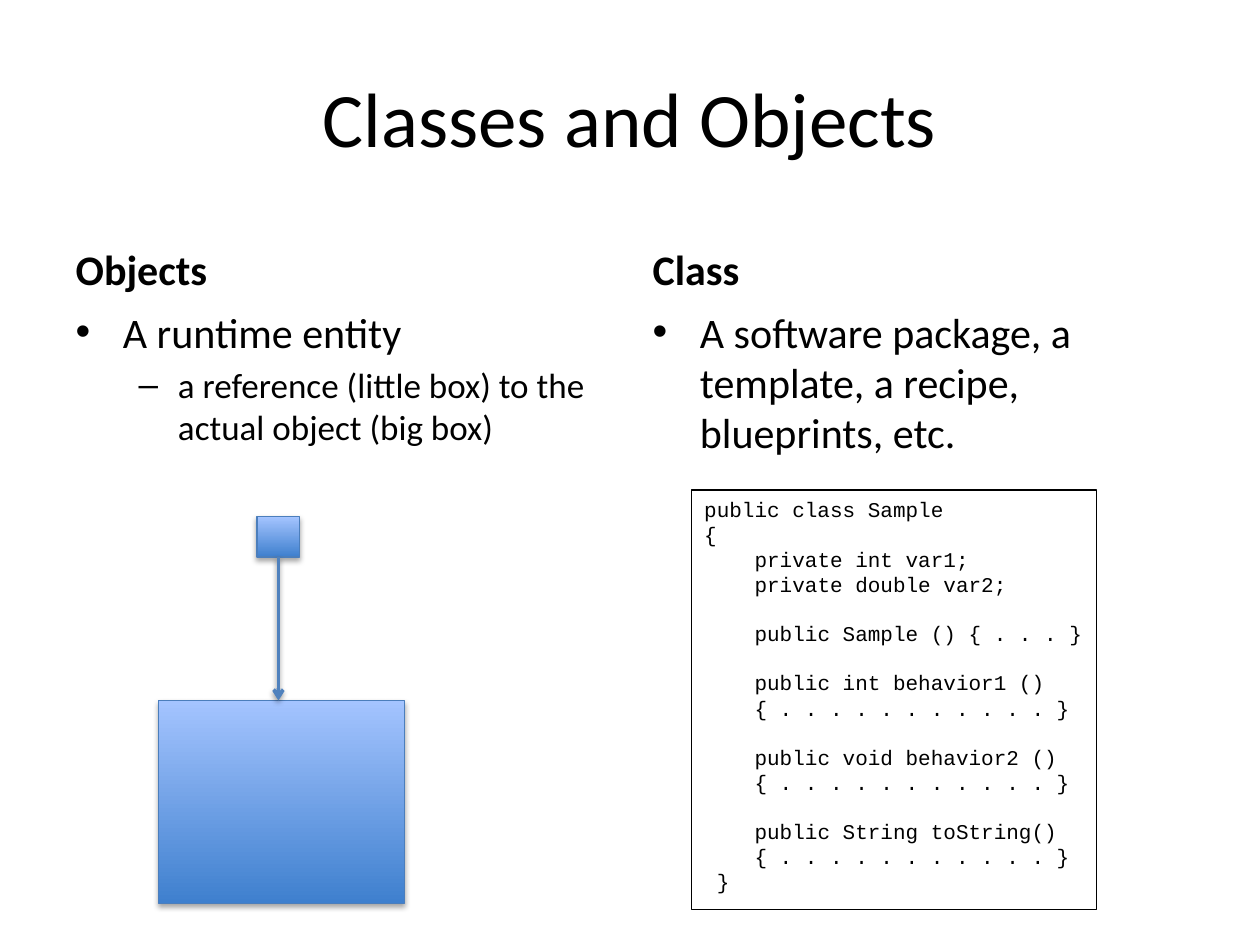
from dataclasses import dataclass
from typing import Any

from lxml.etree import SubElement
from pptx import Presentation
from pptx.dml.color import RGBColor
from pptx.enum.shapes import MSO_CONNECTOR, MSO_SHAPE
from pptx.enum.text import MSO_ANCHOR, PP_ALIGN
from pptx.oxml.ns import qn
from pptx.util import Inches, Pt

WIDE, HIGH = 10, 7.5
LEFT, COL, STEP = 0.5, 4.42, 4.58
AXIS = 2.21
CHAR, LINE = 0.1, 13.6


@dataclass
class Part:
    slot: int
    col: int
    top: float
    wide: float
    high: float
    rows: list[tuple[str, int, int]]
    bold: bool = False
    anchor: Any = MSO_ANCHOR.TOP
    align: Any = None


@dataclass
class Box:
    wide: float
    high: float
    top: float


@dataclass
class Code:
    text: str
    tab: int = 0
    gap: int = 0


PARTS = [
    Part(0, 0, 0.3, 9, 1.25, [("Classes and Objects", 0, 44)],
         anchor=MSO_ANCHOR.MIDDLE, align=PP_ALIGN.CENTER),
    Part(1, 0, 1.68, COL, 0.7, [("Objects", 0, 24)], True, MSO_ANCHOR.BOTTOM),
    Part(2, 0, 2.38, COL, 1.41, [
        ("A runtime entity", 0, 24),
        ("a reference (little box) to the actual object (big box)", 1, 20)]),
    Part(3, 1, 1.68, COL, 0.7, [("Class", 0, 24)], True, MSO_ANCHOR.BOTTOM),
    Part(4, 1, 2.38, COL, 4.32, [
        ("A software package, a template, a recipe, blueprints, etc.", 0, 24)]),
]
SMALL, BIG = Box(0.34, 0.32, 4.1), Box(1.95, 1.61, 5.56)
DOTS = "{ . . . . . . . . . . . }"
CODE = [
    Code("public class Sample"),
    Code("{"),
    Code("private int var1;", 4),
    Code("private double var2;", 4),
    Code("public Sample () { . . . }", 4, 1),
    Code("public int behavior1 ()", 4, 1),
    Code(DOTS, 4),
    Code("public void behavior2 ()", 4, 1),
    Code(DOTS, 4),
    Code("public String toString()", 4, 1),
    Code(DOTS, 4),
    Code("}", 1),
]


def tint(color: Any, code: str) -> None:
    color.rgb = RGBColor.from_string(code)


def apply(item: Any, form: dict[str, Any]) -> None:
    for name, value in form.items():
        setattr(item, name, value)


def style(para: Any, text: str, face: str, size: int, bold: bool = False) -> None:
    run = para.add_run()
    run.text = text
    apply(run.font, {"name": face, "size": Pt(size), "bold": bold})
    tint(run.font.color, "000000")


def edge(shape: Any, code: str, width: float) -> None:
    tint(shape.line.color, code)
    shape.line.width = Pt(width)


def shade(shape: Any, drop: float, alpha: int) -> None:
    props = shape._element.spPr
    for old in props.findall(qn("a:effectLst")):
        props.remove(old)
    cast = SubElement(SubElement(props, qn("a:effectLst")), qn("a:outerShdw"), {
        "blurRad": str(Pt(3.1)), "dist": str(Pt(drop)),
        "dir": "5400000", "rotWithShape": "0"})
    color = SubElement(cast, qn("a:srgbClr"), val="000000")
    SubElement(color, qn("a:alpha"), val=str(alpha * 1000))


def fill(slide: Any, part: Part) -> None:
    hold = slide.placeholders[part.slot]
    apply(hold, {"left": Inches(LEFT + part.col * STEP), "top": Inches(part.top),
                 "width": Inches(part.wide), "height": Inches(part.high)})
    frame = hold.text_frame
    frame.vertical_anchor = part.anchor
    for i, (text, level, size) in enumerate(part.rows):
        para = frame.add_paragraph() if i else frame.paragraphs[0]
        apply(para, {"level": level, "alignment": part.align})
        style(para, text, "Calibri", size, part.bold)


def block(slide: Any, box: Box, mid: float) -> None:
    shape = slide.shapes.add_shape(
        MSO_SHAPE.RECTANGLE, Inches(mid - box.wide / 2), Inches(box.top),
        Inches(box.wide), Inches(box.high))
    shape.fill.gradient()
    shape.fill.gradient_angle = 90
    for stop, code in zip(shape.fill.gradient_stops, ("3F80CE", "A4C4FF")):
        tint(stop.color, code)
    edge(shape, "4B7EBC", 0.75)
    shade(shape, 1.8, 35)


def arrow(slide: Any, top: float, end: float) -> None:
    link = slide.shapes.add_connector(
        MSO_CONNECTOR.STRAIGHT, Inches(AXIS), Inches(top), Inches(AXIS), Inches(end))
    edge(link, "4F81BD", 2)
    SubElement(link._element.spPr.find(qn("a:ln")), qn("a:tailEnd"), type="arrow")
    shade(link, 1.6, 38)


def listing(slide: Any) -> None:
    shape = slide.shapes.add_textbox(
        Inches(5.49), Inches(3.89), Inches(3.21), Inches(3.33))
    edge(shape, "000000", 0.75)
    frame = shape.text_frame
    frame.word_wrap = True
    for i, code in enumerate(CODE):
        para = frame.add_paragraph() if i else frame.paragraphs[0]
        para.space_before = Pt(code.gap * LINE)
        props = para._p.get_or_add_pPr()
        props.set("marL", str(Inches(code.tab * CHAR)))
        style(para, code.text, "Courier New", 12)


deck = Presentation()
apply(deck, {"slide_width": Inches(WIDE), "slide_height": Inches(HIGH)})
page = deck.slides.add_slide(deck.slide_layouts[4])
for part in PARTS:
    fill(page, part)
block(page, SMALL, AXIS)
block(page, BIG, 2.235)
listing(page)
arrow(page, SMALL.top + SMALL.high, BIG.top)
deck.save("out.pptx")
